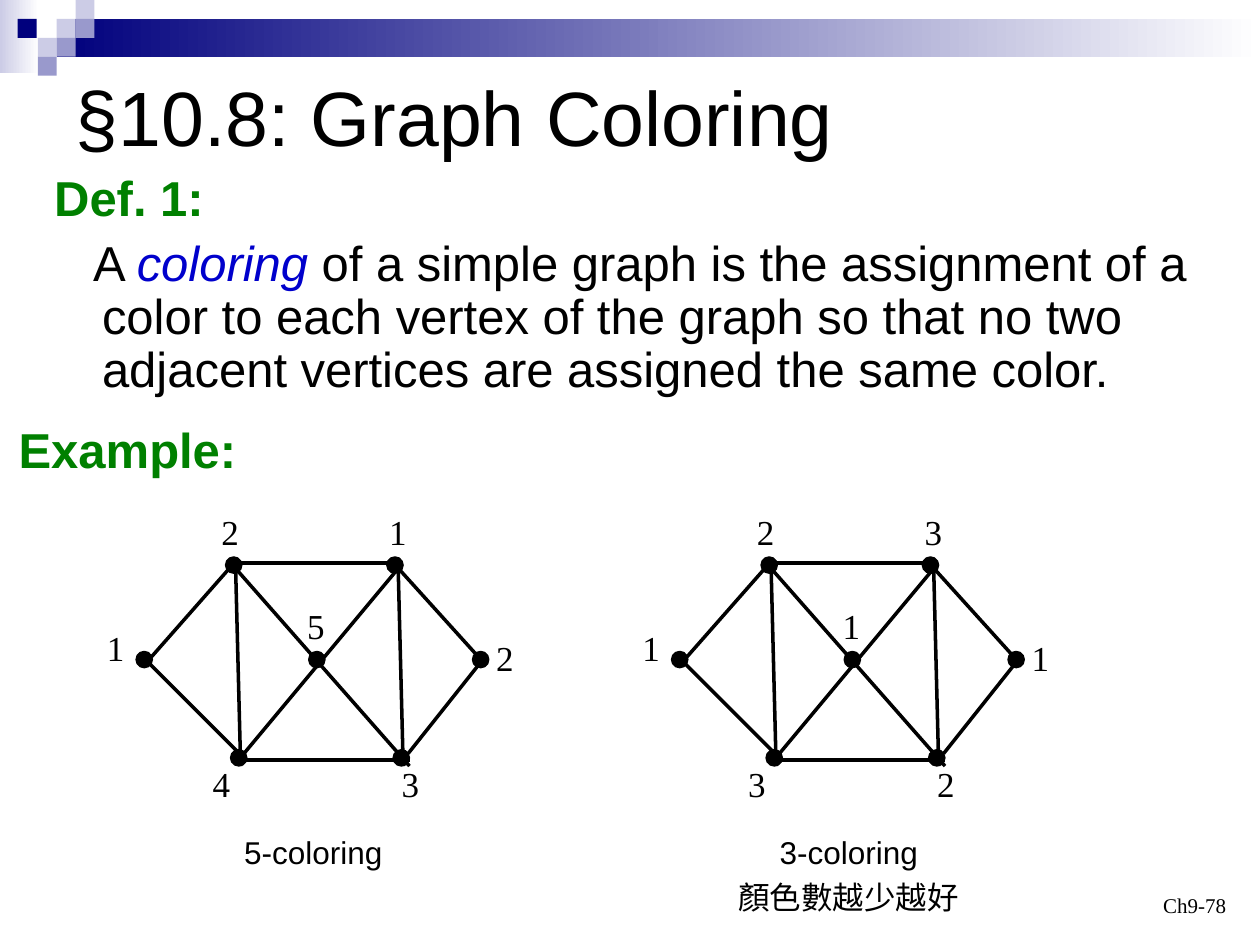
from lxml.etree import SubElement
from pptx import Presentation
from pptx.dml.color import RGBColor
from pptx.enum.shapes import MSO_CONNECTOR, MSO_SHAPE
from pptx.enum.text import MSO_ANCHOR, MSO_AUTO_SIZE, PP_ALIGN
from pptx.oxml.ns import qn
from pptx.util import Inches, Pt

HUES = {
    "black": "000000", "white": "FFFFFF", "navy": "00007D", "blue": "0000CC",
    "green": "008000", "pale": "CCCCE6", "mid": "9999CC",
}
INK = {name: RGBColor.from_string(code) for name, code in HUES.items()}
SERIF = "Times New Roman"

deck = Presentation()
deck.slide_width, deck.slide_height = Inches(10), Inches(7.5)
slide = deck.slides.add_slide(deck.slide_layouts[1])
shapes = slide.shapes


def write(text, para=None, at=None, size=28, font="Arial", hue="black",
          bold=False, italic=False, wrap=True, align=PP_ALIGN.LEFT,
          anchor=MSO_ANCHOR.TOP):
    """Add a run to para, or to a new text box placed at the given inches."""
    if para is None:
        frame = shapes.add_textbox(*map(Inches, at)).text_frame
        frame.word_wrap = wrap
        frame.vertical_anchor = anchor
        para = frame.paragraphs[0]
    para.alignment = align
    run = para.add_run()
    run.text = text
    run.font.size, run.font.name = Pt(size), font
    run.font.bold, run.font.italic = bold, italic
    run.font.color.rgb = INK[hue]
    return para


def draw(home, kind, at, hue, edge=None):
    """Add a filled preset shape, outlined only when edge is given."""
    shape = home.add_shape(kind, *map(Inches, at))
    shape.shadow.inherit = False
    shape.fill.solid()
    shape.fill.fore_color.rgb = INK[hue]
    if edge:
        shape.line.color.rgb, shape.line.width = INK[hue], Pt(edge)
    else:
        shape.line.fill.background()
    return shape


# Fading bands along the top
for at, hue in [((0, 0, 0.31, 0.58), "pale"), ((0.45, 0.15, 9.55, 0.3), "navy")]:
    fill = draw(shapes, MSO_SHAPE.RECTANGLE, at, hue).fill
    fill.gradient()
    fill.gradient_angle = 0
    for stop, tone in zip(fill.gradient_stops, (hue, "white")):
        stop.color.rgb = INK[tone]

# Small corner squares
for x, y, hue in [
    (0.45, 0.15, "pale"), (0.6, 0, "pale"), (0.6, 0.15, "mid"),
    (0.3, 0.3, "pale"), (0.14, 0.15, "navy"), (0.45, 0.3, "mid"),
    (0.3, 0.45, "mid"),
]:
    draw(shapes, MSO_SHAPE.RECTANGLE, (x, y, 0.15, 0.15), hue)

# Title and definition
title, body = shapes.title, slide.placeholders[1]
for holder, at in [(title, (0.5, 0.5, 9, 0.83)), (body, (0.33, 1.33, 9.33, 1.92))]:
    holder.left, holder.top, holder.width, holder.height = map(Inches, at)
    holder.text_frame.auto_size = MSO_AUTO_SIZE.NONE
title.text_frame.vertical_anchor = MSO_ANCHOR.MIDDLE
write("§10.8: Graph Coloring", title.text_frame.paragraphs[0], size=44)

head = body.text_frame.paragraphs[0]
rule = body.text_frame.add_paragraph()
for para, indent, gap in [(head, -0.38, 0), (rule, -0.07, 7)]:
    props = para._p.get_or_add_pPr()
    props.set("marL", str(Inches(0.38)))
    props.set("indent", str(Inches(indent)))
    SubElement(props, qn("a:buNone"))
    para.line_spacing, para.space_before = 0.9, Pt(gap)
write("Def. 1:", head, hue="green", bold=True)
write("A ", rule)
write("coloring", rule, hue="blue", italic=True)
write(" of a simple graph is the assignment of a color to each vertex of the "
      "graph so that no two adjacent vertices are assigned the same color.", rule)

# Example heading and page number
example = write("Example:", at=(0.05, 3.33, 2.67, 0.52), hue="green", bold=True)
example.line_spacing = 0.9
write("Ch9-78", at=(7.5, 6.83, 2.33, 0.5), size=12, font=SERIF,
      align=PP_ALIGN.RIGHT, anchor=MSO_ANCHOR.BOTTOM)

# Two colorings of the same graph
EDGES = [
    (1.84, 4.47, 3.17, 4.47), (1.92, 6, 3.17, 4.5), (3.83, 5.25, 3.17, 4.52),
    (3.16, 4.5, 3.2, 6.08), (1.92, 6.03, 3.25, 6.03), (3.82, 5.25, 3.24, 5.98),
    (1.87, 4.5, 1.91, 6.08), (1.83, 4.5, 1.17, 5.25), (1.86, 4.5, 3.25, 6.08),
    (1.17, 5.25, 1.92, 6),
]
DOTS = [(1.79, 4.42), (1.08, 5.17), (2.45, 5.17), (3.75, 5.17),
        (3.07, 4.42), (1.83, 5.95), (3.12, 5.95)]
TAGS = [(1.66, 4), (0.75, 4.92), (2.99, 4), (2.34, 4.75),
        (3.84, 5), (1.59, 6), (3.09, 6)]

for dx, marks, name in [(0, "2115243", "5-coloring"), (4.25, "2131132", "3-coloring")]:
    graph = shapes.add_group_shape().shapes
    for x1, y1, x2, y2 in EDGES:
        edge = graph.add_connector(MSO_CONNECTOR.STRAIGHT, Inches(x1 + dx),
                                   Inches(y1), Inches(x2 + dx), Inches(y2))
        edge.line.color.rgb, edge.line.width = INK["black"], Pt(2)
        SubElement(edge._element.spPr, qn("a:effectLst"))
    for x, y in DOTS:
        draw(graph, MSO_SHAPE.FLOWCHART_CONNECTOR, (x + dx, y, 0.13, 0.13),
             "black", edge=0.75)
    for (x, y), mark in zip(TAGS, marks):
        write(mark, at=(x + dx, y, 0.34, 0.44), size=20, font=SERIF, wrap=False)
    write(name, at=(1.84 + dx, 6.56, 1.5, 0.4), size=18)

# Remark under the second graph
write("顏色數越少越好", at=(5.76, 6.92, 1.95, 0.4), size=18, wrap=False)

deck.save("out.pptx")
